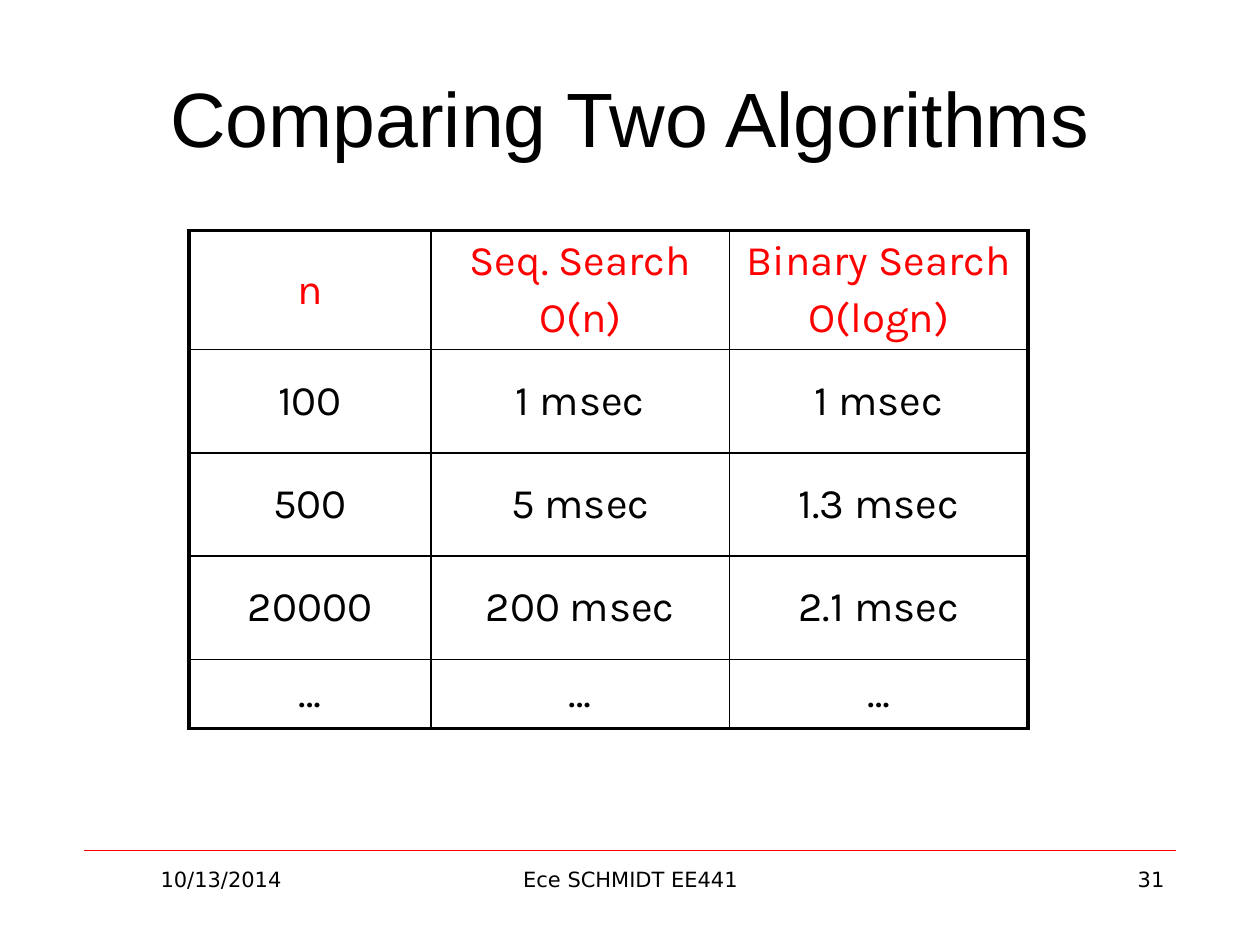
from lxml.etree import SubElement
from pptx import Presentation
from pptx.dml.color import RGBColor
from pptx.enum.text import MSO_ANCHOR, PP_ALIGN
from pptx.oxml.ns import qn
from pptx.util import Inches, Pt

COLORS = {"ink": "000000", "accent": "FF0000"}
TITLE = "Comparing Two Algorithms"
ROWS = [
    ("n", "Seq. Search\nO(n)", "Binary Search\nO(logn)"),
    ("100", "1 msec", "1 msec"),
    ("500", "5 msec", "1.3 msec"),
    ("20000", "200 msec", "2.1 msec"),
    ("…", "…", "…"),
]
COLUMN_WIDTHS = [1.92, 2.37, 2.37]
ROW_HEIGHTS = [0.94, 0.82, 0.82, 0.82, 0.55]
FOOTERS = [
    ("10/13/2014", 0.67, 2.17, PP_ALIGN.CENTER),
    ("Ece SCHMIDT EE441", 3.42, 3.17, PP_ALIGN.CENTER),
    ("31", 7.17, 2.17, PP_ALIGN.RIGHT),
]
INNER_BORDER, OUTER_BORDER = 1, 2.25


def write(frame, text, size, font, color="ink", align=PP_ALIGN.CENTER, before=0):
    frame.text = text
    frame.word_wrap = True
    for para in frame.paragraphs:
        para.alignment = align
        para.space_before = Pt(before)
        for span in para.runs:
            span.font.size = Pt(size)
            span.font.name = font
            span.font.bold = False
            span.font.color.rgb = RGBColor.from_string(COLORS[color])


def set_borders(cell, outer_sides):
    properties = cell._tc.get_or_add_tcPr()
    for side, is_outer in zip("LRTB", outer_sides):
        width = OUTER_BORDER if is_outer else INNER_BORDER
        line = SubElement(properties, qn(f"a:ln{side}"), w=str(Pt(width)))
        fill = SubElement(line, qn("a:solidFill"))
        SubElement(fill, qn("a:srgbClr"), val=COLORS["ink"])


def add_comparison(page):
    last_row, last_column = len(ROWS) - 1, len(COLUMN_WIDTHS) - 1
    frame = page.shapes.add_table(
        len(ROWS), len(COLUMN_WIDTHS), Inches(1.5), Inches(1.83),
        Inches(sum(COLUMN_WIDTHS)), Inches(sum(ROW_HEIGHTS)))
    table = frame.table
    table.first_row = table.horz_banding = False
    for column, width in zip(table.columns, COLUMN_WIDTHS):
        column.width = Inches(width)
    for row, height in zip(table.rows, ROW_HEIGHTS):
        row.height = Inches(height)
    for r, values in enumerate(ROWS):
        for c, value in enumerate(values):
            cell = table.cell(r, c)
            cell.vertical_anchor = MSO_ANCHOR.MIDDLE
            set_borders(cell, (c == 0, c == last_column, r == 0, r == last_row))
            cell.fill.background()
            write(cell.text_frame, value, 24, "Karla",
                  "accent" if r == 0 else "ink", before=4.8)


def add_footer(page):
    rule = page.shapes.add_connector(
        1, Inches(0.67), Inches(6.75), Inches(9.33), Inches(6.75))
    rule.line.color.rgb = RGBColor.from_string(COLORS["accent"])
    rule.line.width = Pt(0.25)
    SubElement(rule._element.spPr, qn("a:effectLst"))
    for text, left, width, align in FOOTERS:
        box = page.shapes.add_textbox(
            Inches(left), Inches(6.83), Inches(width), Inches(0.52))
        write(box.text_frame, text, 12, "DejaVu Sans", align=align)


def main():
    deck = Presentation()
    deck.slide_width, deck.slide_height = Inches(10), Inches(7.5)
    page = deck.slides.add_slide(deck.slide_layouts[5])
    title = page.shapes.title
    title.left, title.top = Inches(0.5), Inches(0.3)
    title.width, title.height = Inches(9), Inches(1.25)
    title.text_frame.vertical_anchor = MSO_ANCHOR.MIDDLE
    write(title.text_frame, TITLE, 44, "Arial")
    add_comparison(page)
    add_footer(page)
    deck.save("out.pptx")


if __name__ == "__main__":
    main()
